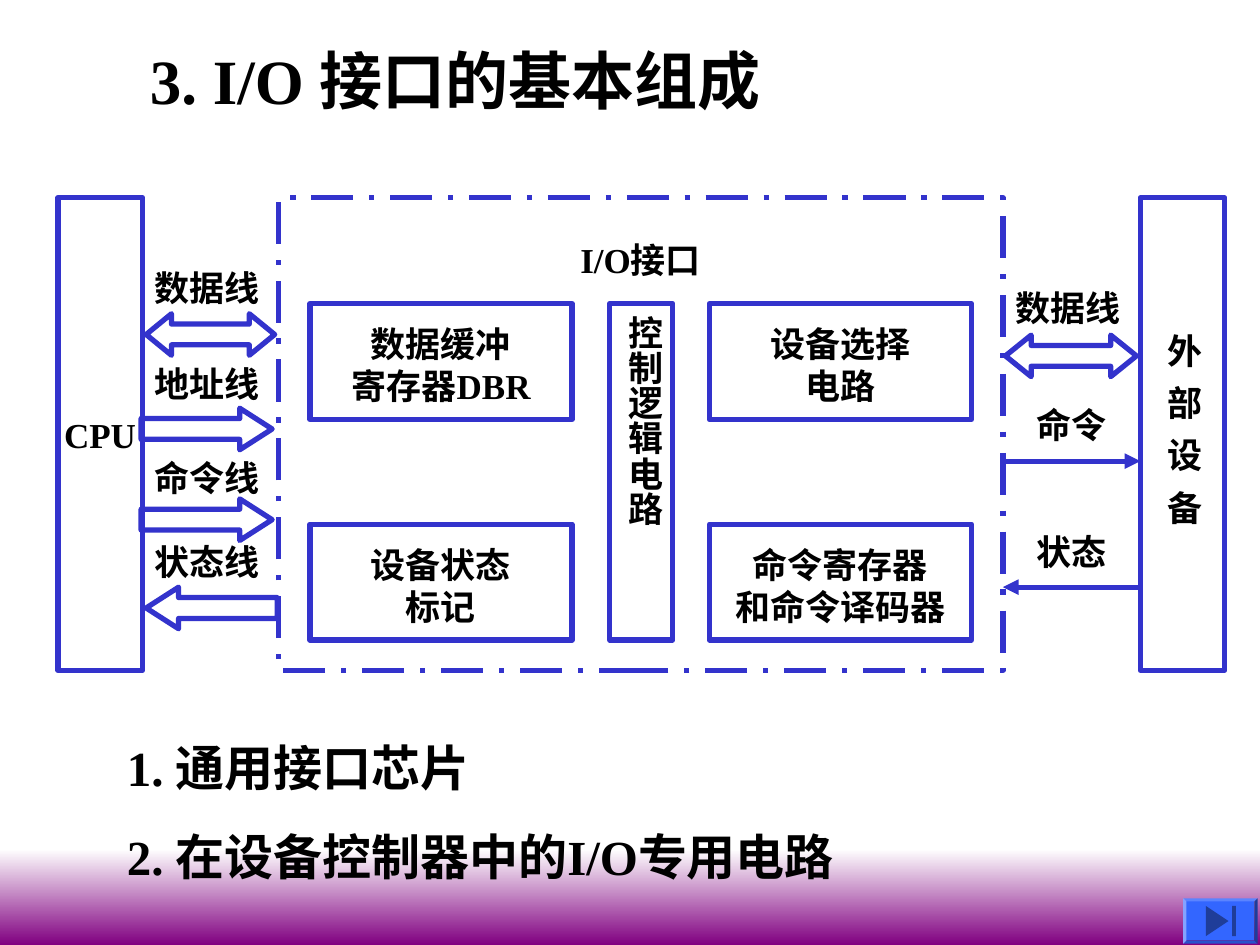
"""Build the slide on the basic composition of an I/O interface."""
from lxml import etree
from pptx import Presentation
from pptx.dml.color import RGBColor
from pptx.enum.dml import MSO_LINE
from pptx.enum.shapes import MSO_CONNECTOR, MSO_SHAPE
from pptx.enum.text import MSO_ANCHOR, MSO_AUTO_SIZE, PP_ALIGN
from pptx.oxml.ns import qn
from pptx.util import Inches, Pt

RECTANGLE, BEVEL, TRIANGLE = MSO_SHAPE.RECTANGLE, MSO_SHAPE.BEVEL, MSO_SHAPE.ISOSCELES_TRIANGLE
BOTH_WAYS, RIGHTWARD = MSO_SHAPE.LEFT_RIGHT_ARROW, MSO_SHAPE.RIGHT_ARROW
STRAIGHT, DASH_DOT = MSO_CONNECTOR.STRAIGHT, MSO_LINE.LONG_DASH_DOT
TOP, MIDDLE = MSO_ANCHOR.TOP, MSO_ANCHOR.MIDDLE
LEFT, CENTER = PP_ALIGN.LEFT, PP_ALIGN.CENTER
NO_FIT = MSO_AUTO_SIZE.NONE

THEME = {
    "font": "Times New Roman",
    "title": Pt(36), "list": Pt(28), "label": Pt(20),
    "stroke": Pt(3), "gap": Pt(17.5), "spread": "980",
    "ink": RGBColor(0x00, 0x00, 0x00),
    "outline": RGBColor(0x33, 0x33, 0xCC),
    "button": RGBColor(0x33, 0x66, 0xFF),
    "icon": RGBColor(0x1F, 0x3D, 0x99),
    "band": (RGBColor(0xFF, 0xFF, 0xFF), RGBColor(0x80, 0x00, 0x80)),
}

deck = Presentation()
deck.slide_width, deck.slide_height = Inches(10), Inches(7.5)
COLUMN, ROW = deck.slide_width / 100, deck.slide_height / 75
page = deck.slides.add_slide(deck.slide_layouts[5])


def draw(kind, left, top, width, height, fill=None, line=None):
    """Add a preset shape given in grid columns and rows."""
    shape = page.shapes.add_shape(
        kind, int(left * COLUMN), int(top * ROW), int(width * COLUMN), int(height * ROW))
    shape.shadow.inherit = False
    if fill is None:
        shape.fill.background()
    else:
        shape.fill.solid()
        shape.fill.fore_color.rgb = fill
    if line is None:
        shape.line.fill.background()
    else:
        shape.line.color.rgb = line
        shape.line.width = THEME["stroke"]
    return shape


def write(box, lines, size="label", align=CENTER, anchor=MIDDLE, wrap=False, top=0.5):
    """Fill a box with formatted paragraphs."""
    frame = box.text_frame
    layout = {"word_wrap": wrap, "auto_size": NO_FIT, "vertical_anchor": anchor,
              "margin_left": int(COLUMN), "margin_right": int(COLUMN),
              "margin_top": int(top * ROW), "margin_bottom": int(ROW / 2)}
    for name, value in layout.items():
        setattr(frame, name, value)
    for index, line in enumerate(lines):
        para = frame.add_paragraph() if index else frame.paragraphs[0]
        para.alignment = align
        span = para.add_run()
        span.text = line
        look = {"name": THEME["font"], "size": THEME[size], "bold": True}
        for name, value in look.items():
            setattr(span.font, name, value)
        span.font.color.rgb = THEME["ink"]
    return frame


band = draw(RECTANGLE, 0, 67.4, 100, 7.6)
band.fill.gradient()
band.fill.gradient_angle = 270
for stop, color in zip(band.fill.gradient_stops, THEME["band"]):
    stop.color.rgb = color

title = page.shapes.title
title_place = {"left": 10.9 * COLUMN, "top": 2.8 * ROW, "width": 51.6 * COLUMN, "height": 7 * ROW}
for name, value in title_place.items():
    setattr(title, name, int(value))
write(title, ["3. I/O 接口的基本组成"], "title", LEFT)

OUTLINE = THEME["outline"]
FRAME_TOP, FRAME_HEIGHT = 15.7, 37.5
interface = draw(RECTANGLE, 22.1, FRAME_TOP, 57.5, FRAME_HEIGHT, line=OUTLINE)
interface.line.dash_style = DASH_DOT
write(interface, ["I/O接口"], anchor=TOP, top=3.2)

cpu = draw(RECTANGLE, 4.6, FRAME_TOP, 6.7, FRAME_HEIGHT, line=OUTLINE)
write(cpu, ["CPU"])
draw(RECTANGLE, 90.5, FRAME_TOP, 6.7, FRAME_HEIGHT, line=OUTLINE)
draw(RECTANGLE, 48.4, 24.1, 5, 26.7, line=OUTLINE)

blocks = [
    [["数据缓冲", "寄存器DBR"], ["设备选择", "电路"]],
    [["设备状态", "标记"], ["命令寄存器", "和命令译码器"]],
]
for row, pair in enumerate(blocks):
    for column, lines in enumerate(pair):
        block = draw(RECTANGLE, 24.6 + 31.7 * column, 24.1 + 17.5 * row, 20.8, 9.2, line=OUTLINE)
        write(block, lines, top=1)

for text, left, top, height, spread in [
    ("控制逻辑电路", 48.5, 24.1, 26.7, "0"),
    ("外部设备", 91.3, 25.5, 20.4, THEME["spread"]),
]:
    column_box = draw(RECTANGLE, left, top, 5.3, height)
    frame = write(column_box, [text])
    body = frame._txBody.find(qn("a:bodyPr"))
    body.set("vert", "eaVert")
    frame.paragraphs[0].runs[0].font._element.set("spc", spread)

for text, left, top, width in [
    ("数据线", 11.3, 20.6, 10.3),
    ("地址线", 11.3, 28.2, 10.3),
    ("命令线", 11.3, 35.7, 10.3),
    ("状态线", 11.3, 42.4, 10.3),
    ("数据线", 79.6, 22.2, 10.3),
    ("命令", 81.3, 31.5, 7.5),
    ("状态", 81.3, 41.6, 7.5),
]:
    write(draw(RECTANGLE, left, top, width, 4.4), [text])

for kind, left, top, width, head, turn in [
    (BOTH_WAYS, 11.6, 24.9, 10.2, 0.61, 0),
    (RIGHTWARD, 11.2, 32.4, 10.4, 0.78, 0),
    (RIGHTWARD, 11.2, 39.6, 10.4, 0.78, 0),
    (RIGHTWARD, 11.6, 46.6, 10.4, 0.78, 180),
    (BOTH_WAYS, 79.8, 26.6, 10.4, 0.62, 0),
]:
    arrow = draw(kind, left, top, width, 3.3, line=OUTLINE)
    arrow.adjustments[0], arrow.adjustments[1] = 0.5, head
    arrow.rotation = turn

for start, end, row in [(79.6, 90.5, 36.6), (90.5, 79.6, 46.6)]:
    signal = page.shapes.add_connector(
        STRAIGHT, int(start * COLUMN), int(row * ROW), int(end * COLUMN), int(row * ROW))
    signal.line.color.rgb = OUTLINE
    signal.line.width = THEME["stroke"]
    etree.SubElement(signal.line._get_or_add_ln(), qn("a:tailEnd"), type="triangle")
    etree.SubElement(signal._element.spPr, qn("a:effectLst"))

button = draw(BEVEL, 93.9, 71.3, 5.9, 3.6, fill=THEME["button"])
button.adjustments[0] = 0.07
draw(TRIANGLE, 95.4, 72.2, 2.4, 1.8, fill=THEME["icon"]).rotation = 90
draw(RECTANGLE, 97.8, 71.9, 0.3, 2.4, fill=THEME["icon"])

forms = page.shapes.add_textbox(
    int(9.1 * COLUMN), int(58 * ROW), int(64.6 * COLUMN), int(12.8 * ROW))
frame = write(forms, ["1. 通用接口芯片", "2. 在设备控制器中的I/O专用电路"], "list", LEFT, TOP, True)
frame.paragraphs[1].space_before = THEME["gap"]

deck.save("out.pptx")
